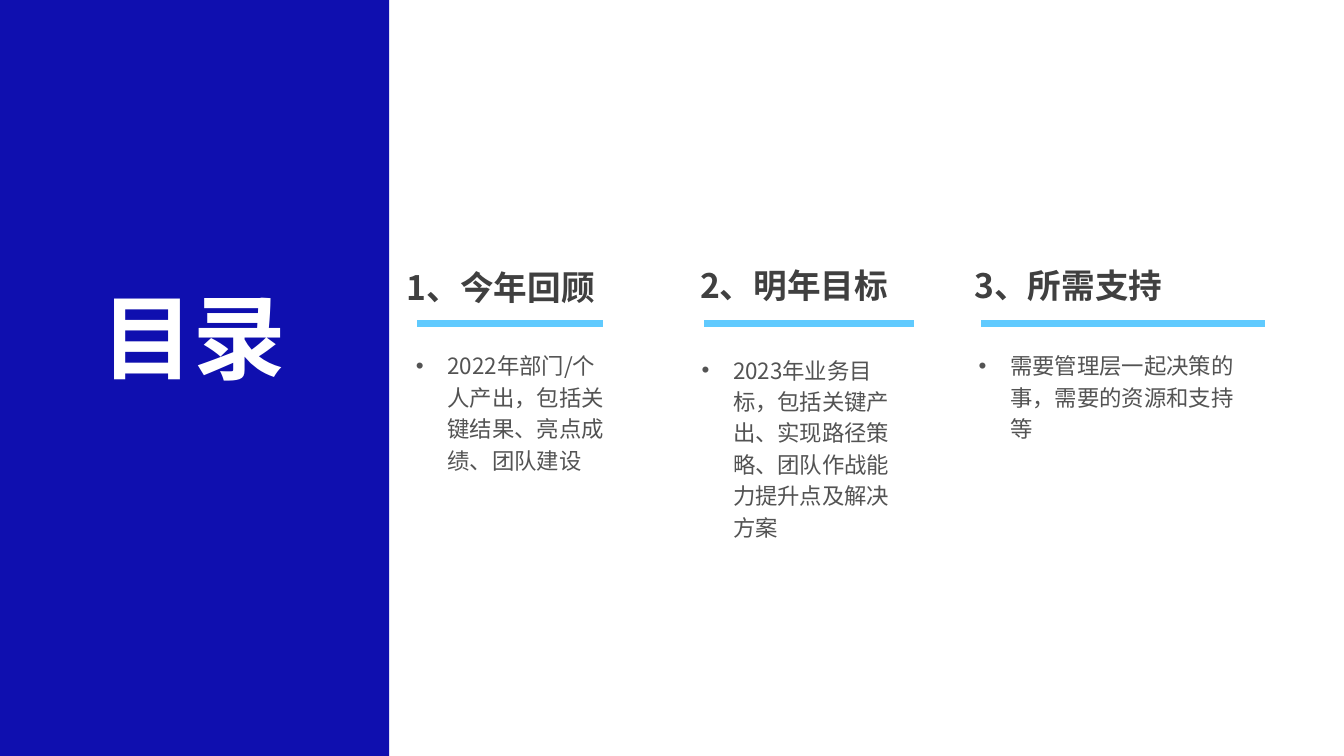
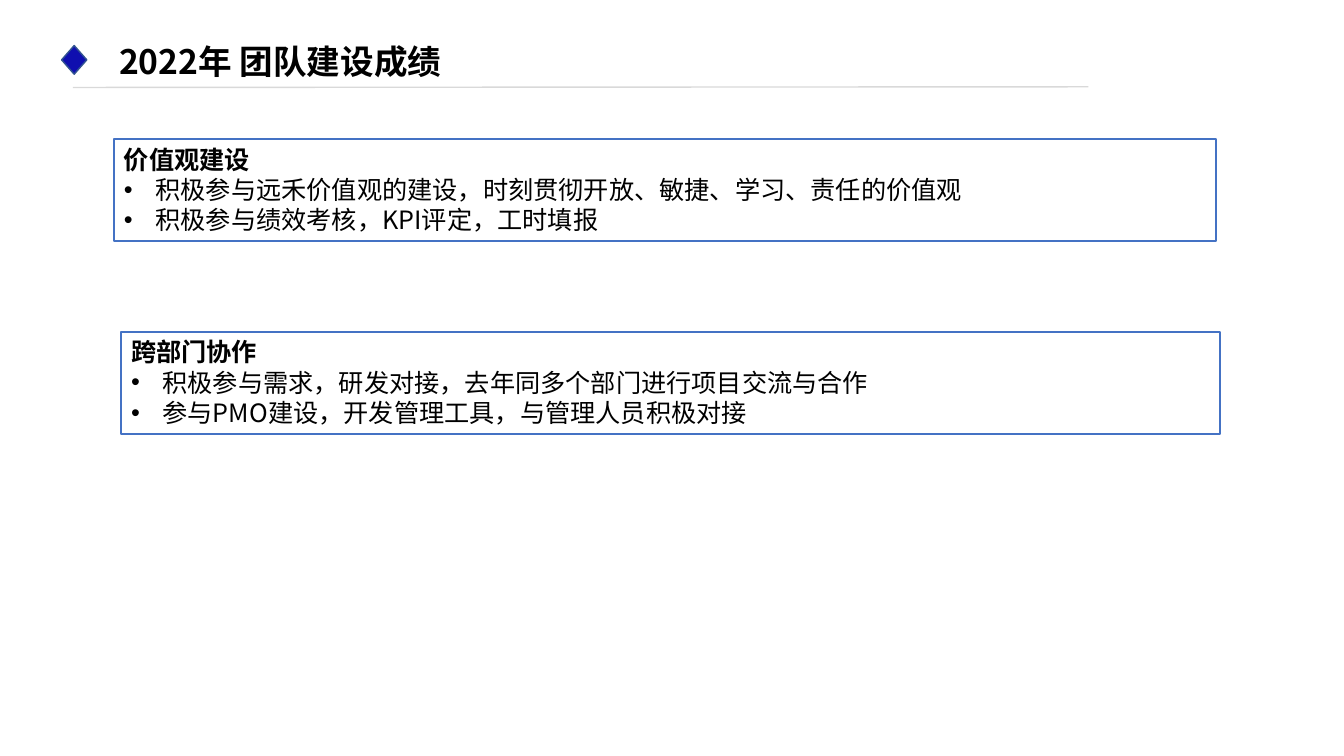
from lxml.etree import SubElement
from pptx import Presentation
from pptx.dml.color import RGBColor
from pptx.enum.shapes import MSO_CONNECTOR, MSO_SHAPE
from pptx.enum.text import MSO_ANCHOR, MSO_AUTO_SIZE, PP_ALIGN
from pptx.oxml.ns import qn
from pptx.util import Pt

FONT = "Noto Sans CJK SC"
INDENT = 22.5
COLORS = {
    "navy": "0F0FAF", "sky": "60CAFE", "frame": "4472C4", "edge": "325491",
    "rule": "D9D9D9", "heading": "404040", "body": "535353",
    "black": "000000", "white": "FFFFFF",
}
COLORS = {name: RGBColor.from_string(value) for name, value in COLORS.items()}


def write(paragraph, text, size, color, bold=False, bullet=False):
    paragraph.text = text
    paragraph.alignment = PP_ALIGN.LEFT
    font = paragraph.font
    font.size, font.bold, font.name = Pt(size), bold, FONT
    font.color.rgb = COLORS[color]
    properties = paragraph._p.get_or_add_pPr()
    defaults = properties.find(qn("a:defRPr"))
    SubElement(defaults, qn("a:ea"), typeface=FONT)
    if bullet:
        properties.set("marL", str(Pt(INDENT)))
        properties.set("indent", str(-Pt(INDENT)))
        mark_font = properties.makeelement(qn("a:buFont"), {"typeface": "Arial"})
        mark = properties.makeelement(qn("a:buChar"), {"char": "•"})
        defaults.addprevious(mark_font)
        defaults.addprevious(mark)


def draw_line(page, start, end, color, width):
    line = page.shapes.add_connector(
        MSO_CONNECTOR.STRAIGHT, *[Pt(value) for value in (*start, *end)])
    line.line.color.rgb = COLORS[color]
    line.line.width = Pt(width)
    SubElement(line._element.spPr, qn("a:effectLst"))


deck = Presentation()
deck.slide_width, deck.slide_height = Pt(960), Pt(540)
blank = deck.slide_layouts[6]

# Contents: side panel with title
page = deck.slides.add_slide(blank)
panel = page.shapes.add_shape(MSO_SHAPE.RECTANGLE, 0, 0, Pt(278), Pt(540))
panel.shadow.inherit = False
panel.fill.solid()
panel.fill.fore_color.rgb = COLORS["navy"]
panel.line.fill.background()

box = page.shapes.add_textbox(Pt(65.5), Pt(196.5), Pt(147), Pt(87))
box.text_frame.word_wrap = False
title = box.text_frame.paragraphs[0]
write(title, "目录", 66, "white", bold=True)
title._p.pPr.find(qn("a:defRPr")).set("spc", "-50")

# Contents: heading, rule and summary of each chapter
# (heading, left, top, width), (summary, left, top, width), rule from, rule to
chapters = [
    (("1、今年回顾", 283.5, 187, 195),
     ("2022年部门/个人产出，包括关键结果、亮点成绩、团队建设", 290, 245, 150.5),
     298, 430.5),
    (("2、明年目标", 493, 185.5, 196),
     ("2023年业务目标，包括关键产出、实现路径策略、团队作战能力提升点及解决方案",
      494, 248, 151),
     503, 653),
    (("3、所需支持", 689, 185.5, 227.5),
     ("需要管理层一起决策的事，需要的资源和支持等", 692, 245, 198.5),
     701, 903.5),
]
for heading, summary, rule_left, rule_right in chapters:
    for (text, left, top, width), is_heading in ((heading, True), (summary, False)):
        box = page.shapes.add_textbox(
            Pt(left), Pt(top), Pt(width), Pt(50 if is_heading else 135))
        box.text_frame.word_wrap = True
        para = box.text_frame.paragraphs[0]
        if is_heading:
            write(para, text, 24, "heading", bold=True)
        else:
            write(para, text, 16, "body", bullet=True)
            para.line_spacing = 1.17
    draw_line(page, (rule_left, 231), (rule_right, 231), "sky", 4.5)

# Team building: title with diamond and rule
page = deck.slides.add_slide(blank)
box = page.shapes.add_textbox(Pt(81.5), Pt(26), Pt(383), Pt(36))
frame = box.text_frame
frame.word_wrap = True
frame.margin_left = frame.margin_right = Pt(3.6)
write(frame.paragraphs[0], "2022年 团队建设成绩", 24, "black", bold=True)

diamond = page.shapes.add_shape(
    MSO_SHAPE.DIAMOND, Pt(44), Pt(32.5), Pt(18), Pt(20.5))
diamond.shadow.inherit = False
diamond.fill.solid()
diamond.fill.fore_color.rgb = COLORS["navy"]
diamond.line.color.rgb = COLORS["edge"]
diamond.line.width = Pt(1)
draw_line(page, (52, 62.5), (777.5, 62), "rule", 1)

# Team building: framed achievements
achievements = [
    (81.5, 99.5, 787, "价值观建设",
     ["积极参与远禾价值观的建设，时刻贯彻开放、敏捷、学习、责任的价值观",
      "积极参与绩效考核，KPI评定，工时填报"]),
    (86.5, 237, 785, "跨部门协作",
     ["积极参与需求，研发对接，去年同多个部门进行项目交流与合作",
      "参与PMO建设，开发管理工具，与管理人员积极对接"]),
]
for left, top, width, heading, points in achievements:
    box = page.shapes.add_shape(
        MSO_SHAPE.RECTANGLE, Pt(left), Pt(top), Pt(width), Pt(72.7))
    box.shadow.inherit = False
    box.fill.solid()
    box.fill.fore_color.rgb = COLORS["white"]
    box.line.color.rgb = COLORS["frame"]
    box.line.width = Pt(1.5)
    frame = box.text_frame
    frame.word_wrap = True
    frame.auto_size = MSO_AUTO_SIZE.SHAPE_TO_FIT_TEXT
    frame.vertical_anchor = MSO_ANCHOR.TOP
    write(frame.paragraphs[0], heading, 18, "black", bold=True)
    for point in points:
        write(frame.add_paragraph(), point, 18, "black", bullet=True)

deck.save("out.pptx")
